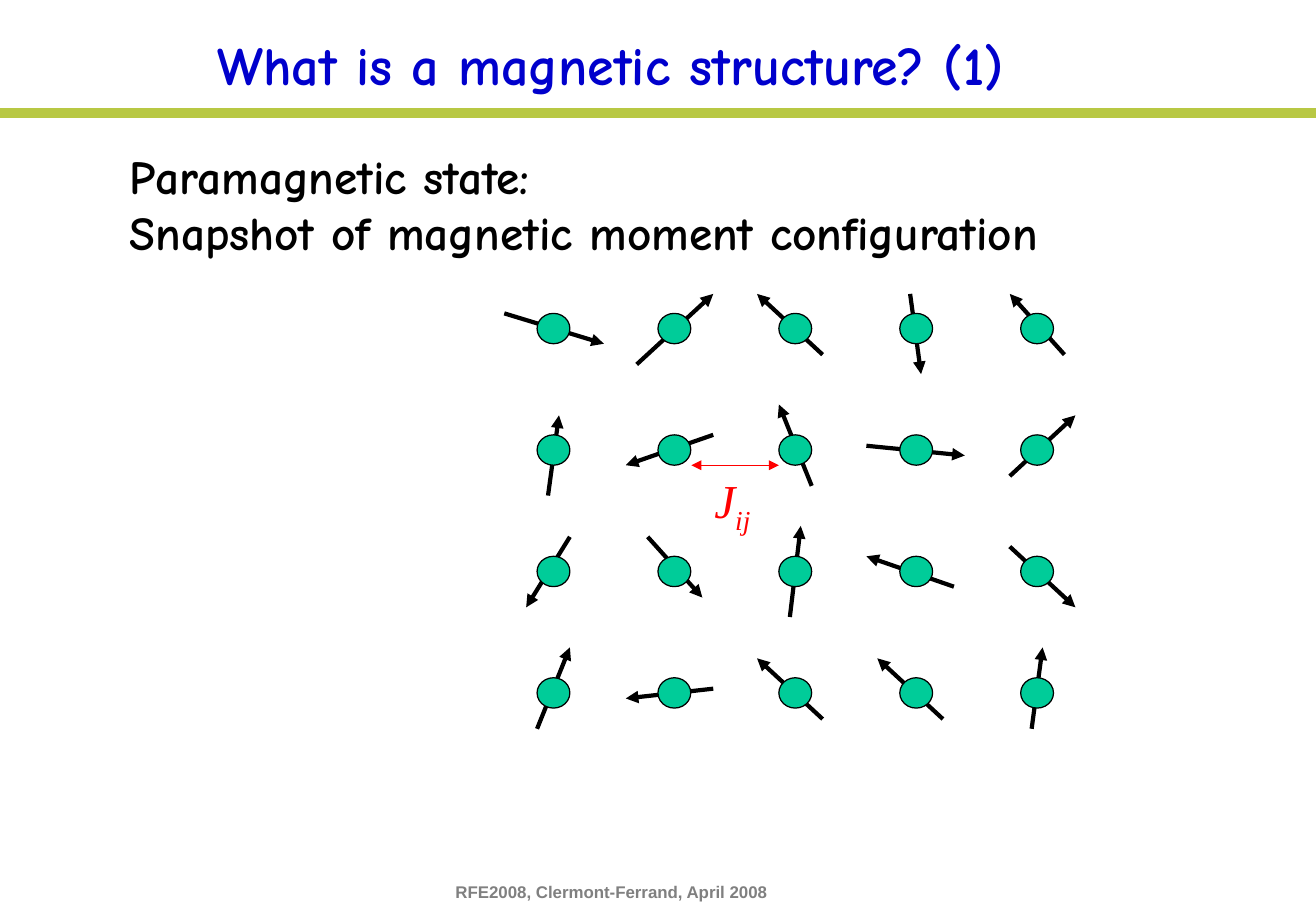
from lxml.etree import SubElement
from pptx import Presentation
from pptx.dml.color import RGBColor as RGB
from pptx.enum.shapes import MSO_CONNECTOR as LINK, MSO_SHAPE as SHAPE
from pptx.enum.text import MSO_ANCHOR as ANCHOR, PP_ALIGN as ALIGN
from pptx.oxml.ns import qn
from pptx.util import Inches, Pt

HUES = {
    "bar": "B8C844", "foot": "808080", "title": "0000CC",
    "ink": "000000", "atom": "00CC99", "bond": "FF0000",
}
FORMS = {
    "title": {"name": "Comic Neue", "size": Pt(32), "bold": True},
    "body": {"name": "Comic Neue", "size": Pt(28), "bold": True},
    "foot": {"name": "Arial", "size": Pt(10), "bold": True},
    "bond": {"name": "Times New Roman", "size": Pt(28), "italic": True},
}


def put_text(box, lines, form, hue, wrap=True):
    """Add a text box with one paragraph a line, each a list of runs."""
    frame = slide.shapes.add_textbox(*map(Inches, box)).text_frame
    frame.word_wrap = wrap
    for num, runs in enumerate(lines):
        para = frame.add_paragraph() if num else frame.paragraphs[0]
        for text in runs:
            run = para.add_run()
            run.text = text
            for key, val in FORMS[form].items():
                setattr(run.font, key, val)
            run.font.color.rgb = RGB.from_string(HUES[hue])
    return frame


def put_arrow(shapes, ends, hue, width, tips=("tailEnd",)):
    line = shapes.add_connector(LINK.STRAIGHT, *map(Inches, ends))
    line.line.color.rgb = RGB.from_string(HUES[hue])
    line.line.width = Pt(width)
    for tip in tips:
        SubElement(line.line._get_or_add_ln(), qn("a:" + tip), type="triangle")
    SubElement(line._element.spPr, qn("a:effectLst"))


deck = Presentation()
deck.slide_width, deck.slide_height = Inches(10.83), Inches(7.5)
slide = deck.slides.add_slide(deck.slide_layouts[6])

# Frame of the slide
bar = slide.shapes.add_shape(SHAPE.RECTANGLE, 0, Inches(0.89), Inches(10.83), Inches(0.08))
bar.shadow.inherit = False
bar.fill.solid()
bar.fill.fore_color.rgb = RGB.from_string(HUES["bar"])
bar.line.fill.background()

put_text((3.65, 7.21, 2.99, 0.27), [["RFE2008, Clermont-Ferrand, April 2008"]], "foot", "foot")
title = put_text((0.63, 0.13, 8.8, 0.79), [["What is a magnetic structure? (1)"]], "title", "title")
title.vertical_anchor = ANCHOR.MIDDLE
title.paragraphs[0].alignment = ALIGN.CENTER

# Moments from tail to tip, row by row
MOMENTS = [
    (4.15, 2.58, 4.97, 2.83), (5.24, 3, 5.87, 2.42), (6.77, 2.92, 6.23, 2.42),
    (7.49, 2.42, 7.58, 3.08), (8.76, 2.92, 8.31, 2.42),
    (4.51, 4.08, 4.6, 3.42), (5.87, 3.58, 5.15, 3.83), (6.68, 4, 6.41, 3.33),
    (7.13, 3.67, 7.94, 3.75), (8.31, 3.92, 8.85, 3.42),
    (4.69, 4.42, 4.33, 5), (5.33, 4.42, 5.78, 4.92), (6.5, 5.08, 6.59, 4.33),
    (7.85, 4.83, 7.13, 4.58), (8.31, 4.5, 8.85, 5),
    (4.42, 6, 4.69, 5.33), (5.87, 5.67, 5.15, 5.75), (6.77, 5.92, 6.23, 5.42),
    (7.76, 5.92, 7.22, 5.42), (8.49, 6, 8.58, 5.33),
]
COLS, ROWS = 5, 4
LEFT, TOP = 4.42, 2.58
STEP_X, STEP_Y = 0.995, 1

grid = slide.shapes.add_group_shape().shapes
for ends in MOMENTS:
    put_arrow(grid, ends, "ink", 2.5)
for row in range(ROWS):
    for col in range(COLS):
        spot = (LEFT + col * STEP_X, TOP + row * STEP_Y, 0.27, 0.25)
        atom = grid.add_shape(SHAPE.OVAL, *map(Inches, spot))
        atom.shadow.inherit = False
        atom.fill.solid()
        atom.fill.fore_color.rgb = RGB.from_string(HUES["atom"])
        atom.line.color.rgb = RGB.from_string(HUES["ink"])
        atom.line.width = Pt(0.75)

# Text and exchange coupling
put_text((0.97, 1.16, 8.45, 1.03),
         [["Paramagnetic state:"], ["Snapshot of magnetic moment configuration"]],
         "body", "ink", wrap=False)
bond = put_text((5.78, 3.83, 0.63, 0.57), [["J", "ij"]], "bond", "bond")
bond.paragraphs[0].runs[1]._r.get_or_add_rPr().set("baseline", "-25000")
put_arrow(slide.shapes, (5.69, 3.83, 6.41, 3.83), "bond", 0.75, ("headEnd", "tailEnd"))

deck.save("out.pptx")
